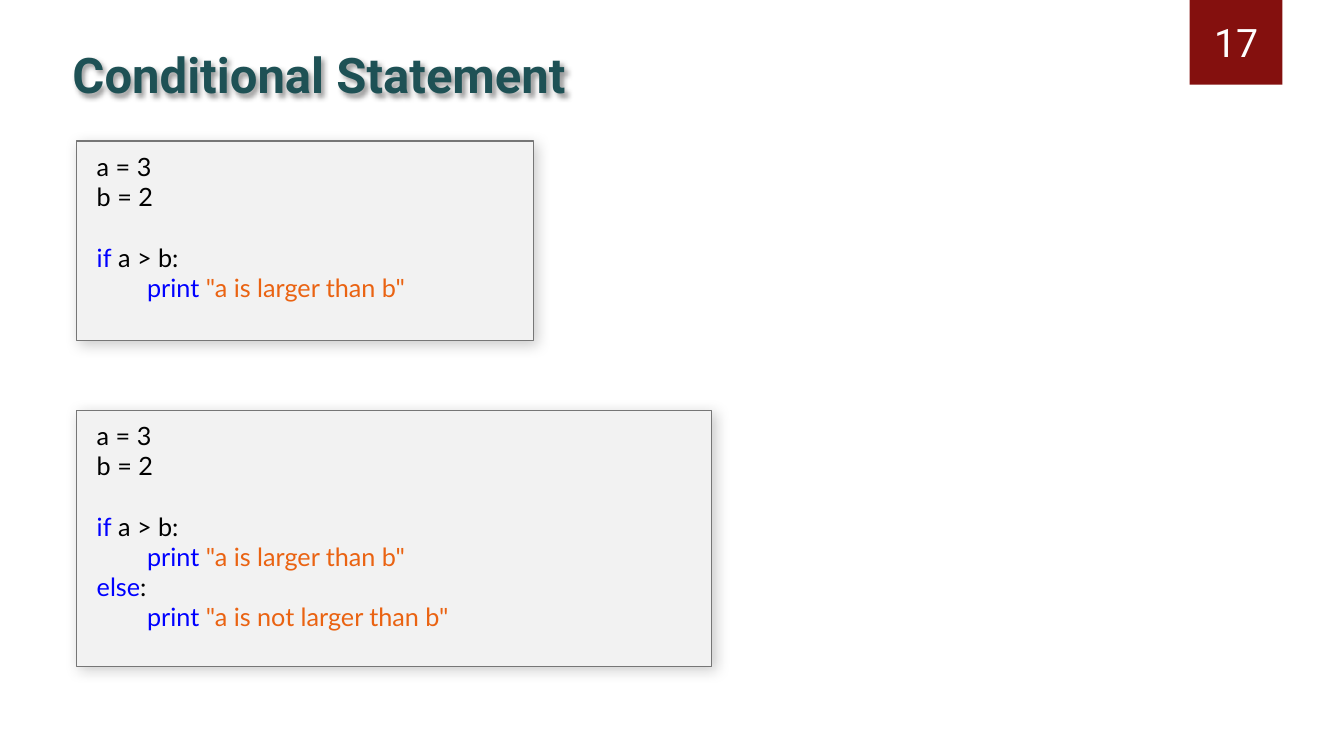
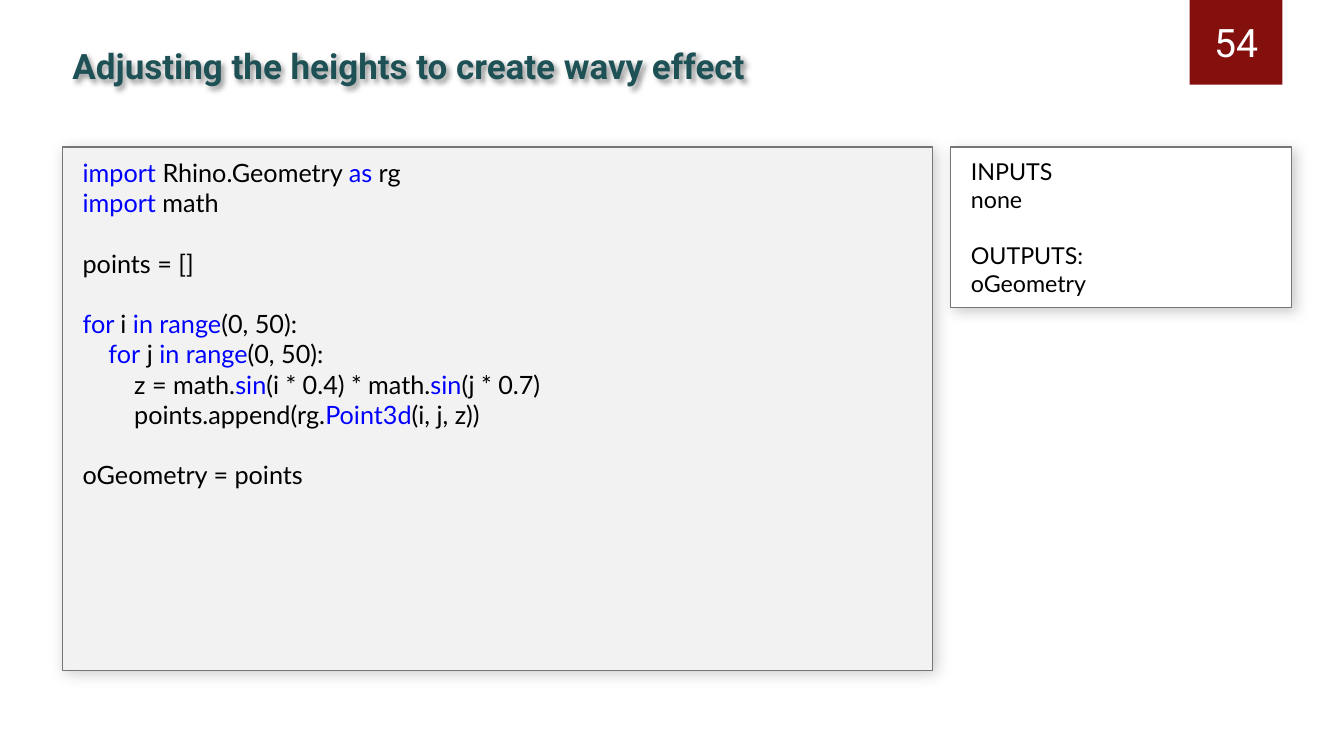
import pptx
import pptx.util
import pptx.dml.color
import pptx.enum.shapes
import pptx.enum.text
import pptx.oxml
import pptx.oxml.ns

Inches = pptx.util.Inches
Pt = pptx.util.Pt
rgb = pptx.dml.color.RGBColor.from_string
qn = pptx.oxml.ns.qn
RECT = pptx.enum.shapes.MSO_SHAPE.RECTANGLE
ANCHOR = pptx.enum.text.MSO_ANCHOR
ALIGN = pptx.enum.text.PP_ALIGN

TEAL, RED, WHITE = "1E5155", "84100E", "FFFFFF"
PALE, GREY = "F2F2F2", "767676"
BLACK, BLUE, ORANGE = "000000", "0000FF", "EA6312"
LEAD = 1.2


def shade(shape, alpha, blur):
    shape.shadow.inherit = False
    shape._element.spPr.find(qn("a:effectLst")).append(pptx.oxml.parse_xml(
        f'<a:outerShdw {pptx.oxml.ns.nsdecls("a")} blurRad="{Pt(blur)}" '
        f'dist="{Pt(3)}" dir="2700000" algn="tl" rotWithShape="0">'
        f'<a:srgbClr val="{BLACK}"><a:alpha val="{alpha * 1000}"/></a:srgbClr>'
        '</a:outerShdw>'))


def write(shape, lines, size, font, align=ALIGN.LEFT, anchor=ANCHOR.TOP, bold=False):
    frame = shape.text_frame
    frame.word_wrap = True
    frame.vertical_anchor = anchor
    para, gap = frame.paragraphs[0], 0
    for row, line in enumerate(lines):
        if not line:
            gap += size * LEAD
            continue
        if row:
            para = frame.add_paragraph()
        if line[0][1].startswith("\t"):
            para._p.get_or_add_pPr().append(pptx.oxml.parse_xml(
                f'<a:tabLst {pptx.oxml.ns.nsdecls("a")}>'
                f'<a:tab pos="{Inches(0.5)}" algn="l"/></a:tabLst>'))
        para.alignment = align
        if gap:
            para.space_before = Pt(gap)
            gap = 0
        for tint, text in line:
            run = para.add_run()
            run.text = text
            run.font.size = Pt(size)
            run.font.name = font
            run.font.bold = bold
            run.font.color.rgb = rgb(tint)


test = [
    [(BLACK, "a = 3")],
    [(BLACK, "b = 2")],
    [],
    [(BLUE, "if"), (BLACK, " a > b:")],
    [(BLACK, "\t"), (BLUE, "print "), (ORANGE, '"a is larger than b"')],
]
other = [
    [(BLUE, "else"), (BLACK, ":")],
    [(BLACK, "\t"), (BLUE, "print"), (ORANGE, ' "a is not larger than b"')],
]
wave = [
    [(BLUE, "import "), (BLACK, "Rhino.Geometry "), (BLUE, "as "), (BLACK, "rg")],
    [(BLUE, "import"), (BLACK, " math")],
    [],
    [(BLACK, "points = []")],
    [],
    [(BLUE, "for "), (BLACK, "i "), (BLUE, "in range"), (BLACK, "(0, 50):")],
    [(BLACK, "    "), (BLUE, "for"), (BLACK, " j "), (BLUE, "in range"),
     (BLACK, "(0, 50):")],
    [(BLACK, "        z = math."), (BLUE, "sin"), (BLACK, "(i * 0.4) * math."),
     (BLUE, "sin"), (BLACK, "(j * 0.7)")],
    [(BLACK, "        points.append(rg."), (BLUE, "Point3d"), (BLACK, "(i, j, z))")],
    [],
    [(BLACK, "oGeometry = points")],
]
ports = [
    [(BLACK, "INPUTS")],
    [(BLACK, "none")],
    [],
    [(BLACK, "OUTPUTS:")],
    [(BLACK, "oGeometry")],
]

pages = [
    ("Conditional Statement", 35, "17", [
        (0.76, 1.4, 4.53, 1.98, PALE, 18, test),
        (0.76, 4.07, 6.3, 2.54, PALE, 18, test + other),
    ]),
    ("Adjusting the heights to create wavy effect", 25, "54", [
        (0.62, 1.46, 8.63, 5.19, PALE, 18, wave),
        (9.43, 1.46, 3.38, 1.59, WHITE, 16.6, ports),
    ]),
]

deck = pptx.Presentation()
deck.slide_width = Inches(13.33)
deck.slide_height = Inches(7.5)

for head, size, number, boxes in pages:
    shapes = deck.slides.add_slide(deck.slide_layouts[6]).shapes

    title = shapes.add_textbox(Inches(0.62), Inches(0.39), Inches(10.92), Inches(0.64))
    write(title, [[(TEAL, head)]], size, "Roboto", bold=True)
    shade(title, 40, 4)

    badge = shapes.add_shape(RECT, Inches(11.8), 0, Inches(0.92), Inches(0.84))
    badge.shadow.inherit = False
    badge.fill.solid()
    badge.fill.fore_color.rgb = rgb(RED)
    badge.line.fill.background()
    write(badge, [[(WHITE, number)]], 28, "Roboto", ALIGN.CENTER, ANCHOR.MIDDLE)

    for left, top, width, height, fill, size, lines in boxes:
        box = shapes.add_shape(RECT, Inches(left), Inches(top), Inches(width), Inches(height))
        box.fill.solid()
        box.fill.fore_color.rgb = rgb(fill)
        box.line.color.rgb = rgb(GREY)
        box.line.width = Pt(1)
        shade(box, 20, 10)
        frame = box.text_frame
        frame.margin_left = frame.margin_right = Inches(0.2)
        frame.margin_top = frame.margin_bottom = Inches(0.1)
        write(box, lines, size, "Lato")

deck.save("out.pptx")
